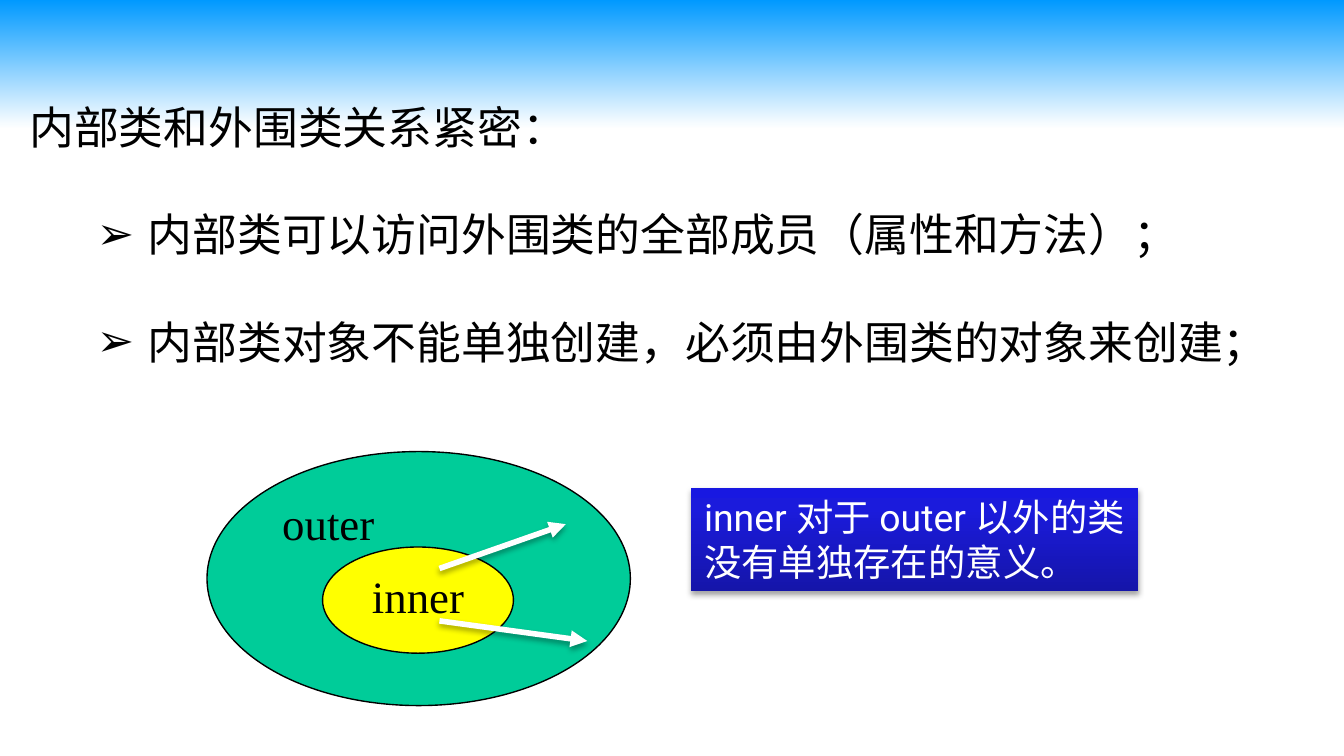
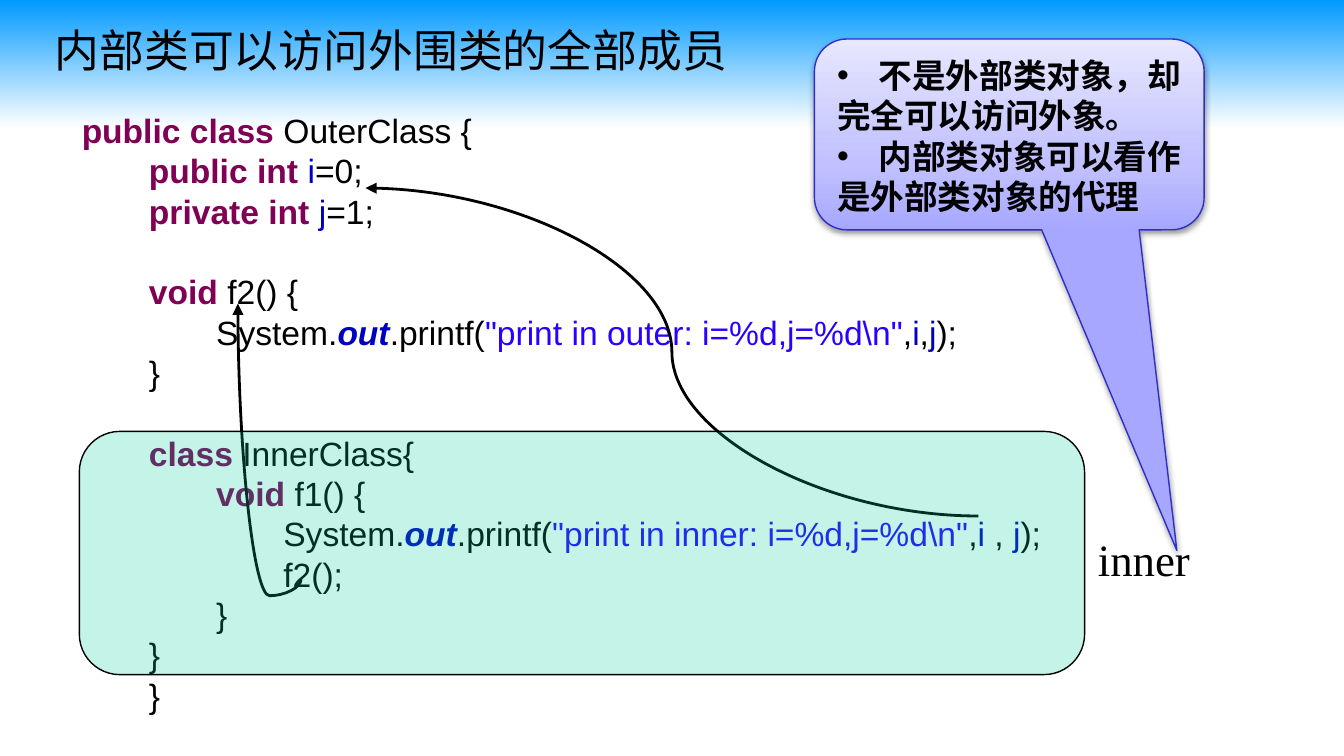
import dataclasses

import pptx
import pptx.dml.color
import pptx.enum.shapes
import pptx.enum.text
import pptx.oxml
import pptx.oxml.ns
import pptx.util
from pptx.util import Inches

qn = pptx.oxml.ns.qn
SHAPE = pptx.enum.shapes.MSO_SHAPE
CONNECTOR = pptx.enum.shapes.MSO_CONNECTOR
ANCHOR = pptx.enum.text.MSO_ANCHOR
ALIGN = pptx.enum.text.PP_ALIGN


@dataclasses.dataclass(frozen=True)
class Theme:
    black: str = "000000"
    white: str = "FFFFFF"
    green: str = "00CC99"
    yellow: str = "FFFF00"
    keyword: str = "7F0055"
    member: str = "0000C0"
    string: str = "2A00FF"
    callout_line: str = "2E2ECB"
    background: tuple = ((0, "0099FF"), (17, "FFFFFF"))
    note: tuple = ((0, "1515A9"), (80, "1B1BDC"), (100, "1818E1"))
    callout: tuple = ((0, "A7A7FF"), (35, "C1C1FF"), (100, "E7E7FF"))
    sans: str = "Arial"
    serif: str = "Times New Roman"
    note_font: str = "Roboto"
    large: int = 24
    medium: int = 20
    small: int = 18
    line_height: float = 1.2


THEME = Theme()


def rgb(color):
    return pptx.dml.color.RGBColor.from_string(color)


def child(parent, tag, **attributes):
    """Append a drawing element and return it."""
    element = parent.makeelement(qn(tag), {k: str(v) for k, v in attributes.items()})
    parent.append(element)
    return element


def write(frame, paragraphs, size=THEME.large, font=THEME.sans, color=THEME.black,
          bold=False, align=ALIGN.LEFT, wrap=True):
    """Each paragraph is a string or a dict with runs, left, hanging, bullet and before."""
    frame.word_wrap = wrap
    frame.vertical_anchor = ANCHOR.TOP
    for index, item in enumerate(paragraphs):
        item = item if isinstance(item, dict) else {"runs": [item]}
        paragraph = frame.paragraphs[0] if index == 0 else frame.add_paragraph()
        properties = paragraph._p.get_or_add_pPr()
        properties.set("marL", str(Inches(item.get("left", 0))))
        properties.set("indent", str(-Inches(item.get("hanging", 0))))
        if "bullet" in item:
            child(properties, "a:buFont", typeface=THEME.sans)
            child(properties, "a:buChar", char=item["bullet"])
        paragraph.alignment = align
        paragraph.line_spacing = pptx.util.Pt(size * THEME.line_height)
        if "before" in item:
            paragraph.space_before = pptx.util.Pt(item["before"])
        for part in item["runs"]:
            text, style = part if isinstance(part, tuple) else (part, {})
            run = paragraph.add_run()
            run.text = text
            run.font.size = pptx.util.Pt(size)
            run.font.name = style.get("font", font)
            run.font.bold = style.get("bold", bold)
            run.font.italic = style.get("italic", False)
            run.font.color.rgb = rgb(style.get("color", color))


class Deck:
    def __init__(self):
        self.presentation = pptx.Presentation()
        self.presentation.slide_width = Inches(10)
        self.presentation.slide_height = Inches(10) * 9 // 16
        self.slide = None

    def new_slide(self):
        self.slide = self.presentation.slides.add_slide(self.presentation.slide_layouts[6])
        self.gradient(self.slide.background.fill, self.slide._element, THEME.background, 270)

    def gradient(self, fill, owner, stops, angle):
        fill.gradient()
        fill.gradient_angle = angle
        stop_list = next(owner.iter(qn("a:gsLst")))
        for stop in list(stop_list):
            stop_list.remove(stop)
        for position, color in stops:
            child(child(stop_list, "a:gs", pos=position * 1000), "a:srgbClr", val=color)

    def effects(self, shape, shadow):
        """Give the shape a soft shadow below it, of the given opacity, or none."""
        effects = child(shape._element.spPr, "a:effectLst")
        if shadow:
            outer = child(effects, "a:outerShdw", blurRad=pptx.util.Pt(3.1),
                          dist=pptx.util.Pt(1.8), dir=90 * 60000, rotWithShape=0)
            color = child(outer, "a:srgbClr", val=THEME.black)
            child(color, "a:alpha", val=shadow * 1000)

    def text(self, left, top, width, height, paragraphs, **style):
        box = self.slide.shapes.add_textbox(Inches(left), Inches(top), Inches(width), Inches(height))
        write(box.text_frame, paragraphs, **style)
        return box

    def shape(self, kind, left, top, width, height, fill, line=THEME.black,
              opacity=None, shadow=None, adjustments=(), paragraphs=(), **style):
        shape = self.slide.shapes.add_shape(
            kind, Inches(left), Inches(top), Inches(width), Inches(height))
        for index, value in enumerate(adjustments):
            shape.adjustments[index] = value
        if isinstance(fill, tuple):
            self.gradient(shape.fill, shape._element, fill, 90)
        else:
            shape.fill.solid()
            shape.fill.fore_color.rgb = rgb(fill)
            if opacity:
                color = next(shape._element.spPr.iter(qn("a:srgbClr")))
                child(color, "a:alpha", val=opacity * 1000)
        if line:
            shape.line.color.rgb = rgb(line)
            shape.line.width = pptx.util.Pt(0.75)
        else:
            shape.line.fill.background()
        self.effects(shape, shadow)
        write(shape.text_frame, paragraphs, **style)
        return shape

    def arrow(self, start, end, color=THEME.black, width=1.5, kind=CONNECTOR.CURVE,
              shadow=None, rotation=0, bend=None):
        arrow = self.slide.shapes.add_connector(kind, *map(Inches, start + end))
        arrow.line.color.rgb = rgb(color)
        arrow.line.width = pptx.util.Pt(width)
        child(arrow.line._get_or_add_ln(), "a:tailEnd", type="triangle")
        properties = arrow._element.spPr
        if rotation:
            properties.find(qn("a:xfrm")).set("rot", str(rotation * 60000))
        if bend is not None:
            guides = next(properties.iter(qn("a:avLst")))
            child(guides, "a:gd", name="adj1", fmla=f"val {round(bend * 100000)}")
        self.effects(arrow, shadow)


# Code highlighting
def keyword(text):
    return text, {"color": THEME.keyword, "bold": True}


def member(text):
    return text, {"color": THEME.member}


def code(level, *runs, **options):
    return {"left": level * 0.5, "runs": runs, **options}


def print_call(level, place, first, comma):
    return code(level, "System.", ("out", {"color": THEME.member, "bold": True, "italic": True}),
                ".printf(", (f'"print in {place}: i=%d,j=%d\\n"', {"color": THEME.string}),
                ",", member(first), comma, member("j"), ");")


def relation_slide(deck):
    deck.new_slide()

    # Statements, one line apart
    gap = THEME.large * THEME.line_height
    points = ["内部类可以访问外围类的全部成员（属性和方法）；",
              "内部类对象不能单独创建，必须由外围类的对象来创建；"]
    heading = {"runs": ["内部类和外围类关系紧密", ("：", {"font": THEME.serif})]}
    deck.text(0.12, 0.69, 9.69, 2.52, [heading] + [
        {"runs": [point], "left": 0.88, "hanging": 0.38, "bullet": "➢", "before": gap}
        for point in points])

    # Nested classes
    deck.shape(SHAPE.OVAL, 1.54, 3.36, 3.15, 1.89, THEME.green,
               paragraphs=["outer"], font=THEME.serif)
    deck.shape(SHAPE.OVAL, 2.4, 4.07, 1.42, 0.79, THEME.yellow, paragraphs=["inner"],
               font=THEME.serif, align=ALIGN.CENTER)
    for start, end in (((3.27, 4.23), (4.21, 3.9)), ((3.27, 4.62), (4.37, 4.77))):
        deck.arrow(start, end, THEME.white, 3, CONNECTOR.STRAIGHT, shadow=35)

    # Conclusion
    deck.shape(SHAPE.RECTANGLE, 5.14, 3.63, 3.33, 0.77, THEME.note, line=None, shadow=35,
               paragraphs=["inner 对于 outer 以外的类没有单独存在的意义。"],
               size=THEME.medium, font=THEME.note_font, color=THEME.white)


def access_slide(deck):
    deck.new_slide()
    deck.text(-0.19, 0.12, 9.03, 0.5, [{"runs": ["内部类可以访问外围类的全部成员"], "left": 0.5}])

    # Program
    gap = THEME.small * THEME.line_height
    deck.text(0.51, 0.77, 9.21, 4.64, [
        code(0, keyword("public class "), "OuterClass {"),
        code(1, keyword("public int "), member("i"), "=0;"),
        code(1, keyword("private int "), member("j"), "=1;"),
        code(1, keyword("void"), " f2() {", before=gap),
        print_call(2, "outer", "i", ","),
        code(1, "}"),
        code(1, keyword("class "), "InnerClass{", before=gap),
        code(2, keyword("void"), " f1() {"),
        print_call(3, "inner", "i ", ", "),
        code(3, "f2();"),
        code(2, "}"),
        code(1, "}"),
        code(1, "}"),
    ], size=THEME.small)

    # Links from the inner class to the outer members
    deck.arrow((7.28, 3.84), (2.72, 1.4))
    deck.arrow((0.98, 3.52), (3.03, 3.05), rotation=270, bend=-0.06)

    # Inner class area and its label
    area = deck.shape(SHAPE.ROUNDED_RECTANGLE, 0.59, 3.21, 7.48, 1.81, THEME.green, opacity=23)
    label = deck.text(8.07, 3.91, 0.89, 0.5, ["inner"], font=THEME.serif, wrap=False)
    deck.slide.shapes.add_group_shape([area, label])

    # Callout
    bullet = {"left": 0.31, "hanging": 0.31, "bullet": "•"}
    deck.shape(SHAPE.ROUNDED_RECTANGULAR_CALLOUT, 6.06, 0.29, 2.9, 1.42, THEME.callout,
               line=THEME.callout_line, shadow=38, adjustments=(0.43, 2.18, 0.17),
               paragraphs=[{"runs": ["不是外部类对象，却"], **bullet}, "完全可以访问外象。",
                           {"runs": ["内部类对象可以看作"], **bullet}, "是外部类对象的代理"],
               size=THEME.small, font=THEME.serif, bold=True, wrap=False)


def main():
    deck = Deck()
    relation_slide(deck)
    access_slide(deck)
    deck.presentation.save("out.pptx")


if __name__ == "__main__":
    main()
